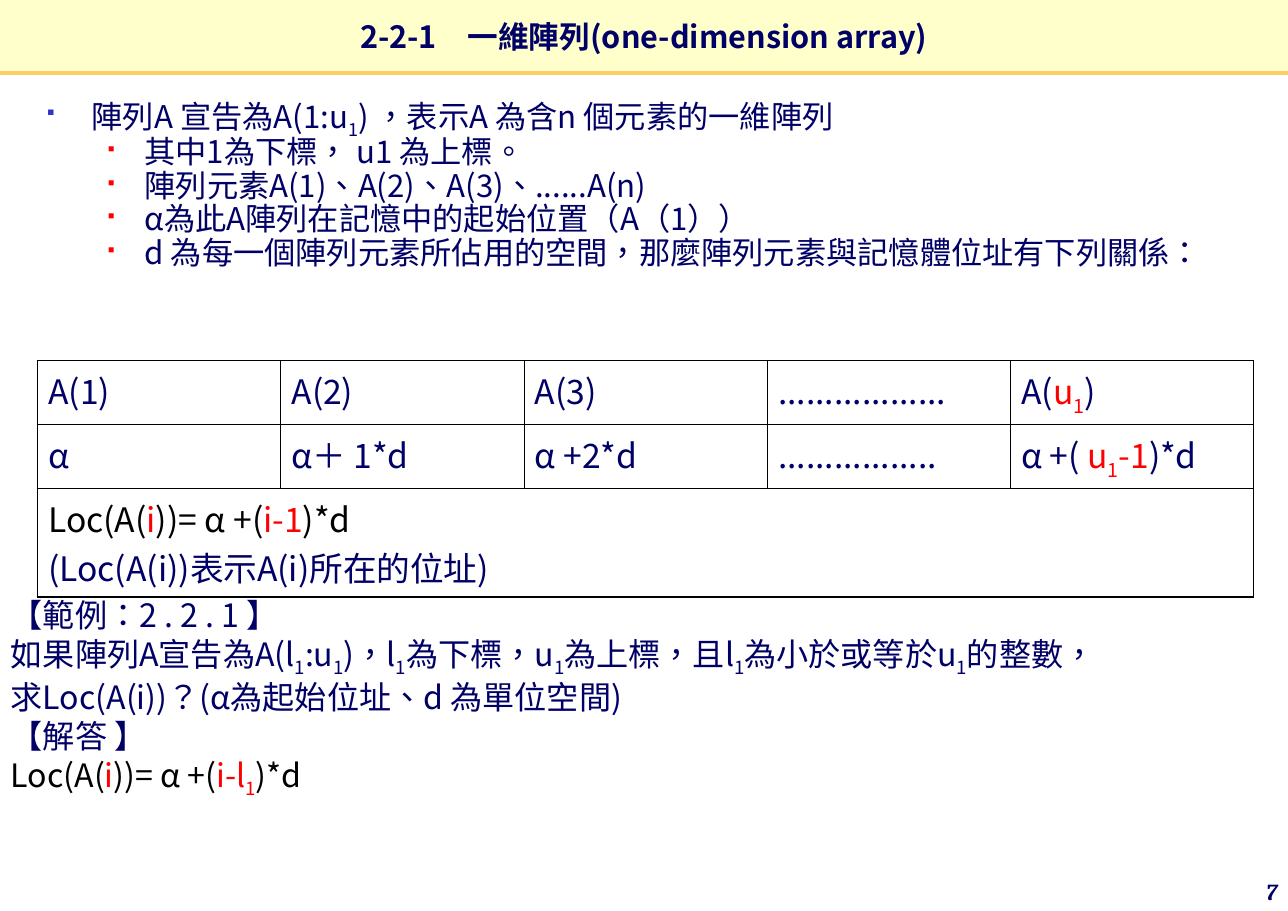
from lxml.etree import SubElement as Sub
from pptx import Presentation
from pptx.dml.color import RGBColor as RGB
from pptx.enum.shapes import MSO_CONNECTOR as Link
from pptx.enum.text import MSO_ANCHOR as Anchor, MSO_AUTO_SIZE as Fit, PP_ALIGN as Align
from pptx.oxml.ns import qn
from pptx.util import Cm, Pt

NAVY = RGB(0x00, 0x00, 0x66)
BLUE = RGB(0x33, 0x33, 0xCC)
RED = RGB(0xFF, 0x00, 0x00)
BLACK = RGB(0x00, 0x00, 0x00)
CREAM = RGB(0xFF, 0xFF, 0xCC)
GOLD = RGB(0xFF, 0xCC, 0x66)
SANS, SERIF = "Noto Sans CJK TC", "Cambria"
THICK, THIN = 1.08, 0.45

TITLE = "2-2-1　一維陣列(one-dimension array)"
# In the texts below ₁ marks a lowered 1; a part is plain text or (text, colour).
POINTS = [
    (0, "陣列A 宣告為A(1:u₁) ，表示A 為含n 個元素的一維陣列"),
    (1, "其中1為下標， u1 為上標。"),
    (1, "陣列元素A(1)、A(2)、A(3)、......A(n)"),
    (1, "α為此A陣列在記憶中的起始位置（A（1））"),
    (1, "d 為每一個陣列元素所佔用的空間，那麼陣列元素與記憶體位址有下列關係："),
]
# Per level: left margin, hanging width, bullet colour, bullet percent
LEVELS = [(1.04, 1.04, BLUE, 60), (2.26, 0.86, RED, 55)]


def formula(term):
    return [("Loc(A(", BLACK), ("i", RED), ("))= α +(", BLACK), (term, RED), (")*d", BLACK)]


CELLS = [
    [["A(1)"], ["A(2)"], ["A(3)"], [".................."], ["A(", ("u₁", RED), ")"]],
    [["α"], ["α＋ 1*d"], ["α +2*d"], ["................."],
     ["α +( ", ("u₁-1", RED), ")*d"]],
]
RESULT = [formula("i-1"), ["(Loc(A(i))表示A(i)所在的位址)"]]
EXAMPLE = [
    ["【範例：2 . 2 . 1 】"],
    ["如果陣列A宣告為A(l₁:u₁)，l₁為下標，u₁為上標，且l₁為小於或等於u₁的整數，"],
    ["求Loc(A(i))？(α為起始位址、d 為單位空間)"],
    ["【解答 】"],
    formula("i-l₁"),
]


def add_run(para, text, size, color=NAVY, face=SANS, bold=False, low=False):
    run = para.add_run()
    run.text = text
    font = run.font
    font.size, font.bold = Pt(size), bold
    font.color.rgb = color
    font.name = face
    props = run._r.get_or_add_rPr()
    props.set("lang", "zh-TW")
    Sub(props, qn("a:ea"), typeface=face)
    if low:
        props.set("baseline", "-25000")
    return run


def add_parts(para, parts, size):
    for part in parts:
        text, color = (part, NAVY) if isinstance(part, str) else part
        for i, piece in enumerate(text.split("₁")):
            if i:
                add_run(para, "1", size, color, low=True)
            if piece:
                add_run(para, piece, size, color)


def add_lines(frame, lines, size):
    for i, parts in enumerate(lines):
        para = frame.add_paragraph() if i else frame.paragraphs[0]
        add_parts(para, parts, size)


def place(shape, box):
    shape.left, shape.top, shape.width, shape.height = map(Cm, box)


def add_bullet(para, level):
    left, hang, color, size = LEVELS[level]
    para.level = level
    props = para._p.get_or_add_pPr()
    props.set("marL", str(Cm(left)))
    props.set("indent", str(-Cm(hang)))
    Sub(Sub(props, qn("a:buClr")), qn("a:srgbClr"), val=str(color))
    Sub(props, qn("a:buSzPct"), val=str(size * 1000))
    Sub(props, qn("a:buFont"), typeface="Wingdings", charset="2")
    Sub(props, qn("a:buChar"), char="§")


def draw_title(slide, box):
    left, top, width, height = box
    rule = slide.shapes.add_connector(
        Link.STRAIGHT, Cm(left), Cm(top + height + 0.03),
        Cm(left + width), Cm(top + height + 0.03))
    rule.line.color.rgb = GOLD
    rule.line.width = Pt(3)
    Sub(rule._element.spPr, qn("a:effectLst"))
    title = slide.shapes.title
    place(title, box)
    title.fill.solid()
    title.fill.fore_color.rgb = CREAM
    frame = title.text_frame
    frame.auto_size, frame.vertical_anchor = Fit.NONE, Anchor.MIDDLE
    frame.margin_left = frame.margin_right = frame.margin_top = frame.margin_bottom = 0
    para = frame.paragraphs[0]
    para.alignment = Align.CENTER
    add_run(para, TITLE, 20, bold=True)


def draw_points(slide, box):
    body = slide.placeholders[1]
    place(body, box)
    frame = body.text_frame
    frame.auto_size, frame.vertical_anchor = Fit.NONE, Anchor.TOP
    for i, (level, text) in enumerate(POINTS):
        para = frame.add_paragraph() if i else frame.paragraphs[0]
        add_bullet(para, level)
        para.line_spacing = 0.9
        para.space_before = Pt(0)
        add_parts(para, [text], 20.4)


def set_edges(cell, thick):
    """Draw the four borders; the sides named in thick are the outer ones."""
    props = cell._tc.get_or_add_tcPr()
    for side in "LRTB":
        width = THICK if side in thick else THIN
        edge = Sub(props, qn("a:ln" + side), w=str(Pt(width)))
        Sub(Sub(edge, qn("a:solidFill")), qn("a:srgbClr"), val=str(BLACK))


def draw_table(slide, box, heights):
    rows, cols = len(heights), len(CELLS[0])
    table = slide.shapes.add_table(rows, cols, *map(Cm, box)).table
    table.first_row = table.horz_banding = False
    for row, height in zip(table.rows, heights):
        row.height = Cm(height)
    for col in table.columns:
        col.width = Cm(box[2] / cols)
    for r in range(rows):
        for c in range(cols):
            cell = table.cell(r, c)
            ends = (("L", c == 0), ("R", c == cols - 1), ("T", r == 0), ("B", r == rows - 1))
            set_edges(cell, [side for side, outer in ends if outer])
            cell.fill.background()
            if r < len(CELLS):
                add_lines(cell.text_frame, [CELLS[r][c]], 22)
    last = table.cell(rows - 1, 0)
    last.merge(table.cell(rows - 1, cols - 1))
    add_lines(last.text_frame, RESULT, 22)


def draw_example(slide, box):
    frame = slide.shapes.add_textbox(*map(Cm, box)).text_frame
    frame.word_wrap = True
    add_lines(frame, EXAMPLE, 21)


def draw_number(slide, box):
    frame = slide.shapes.add_textbox(*map(Cm, box)).text_frame
    frame.word_wrap, frame.vertical_anchor = True, Anchor.BOTTOM
    para = frame.paragraphs[0]
    para.alignment = Align.RIGHT
    add_run(para, "7", 15, face=SERIF, bold=True).font.italic = True


def main():
    deck = Presentation()
    deck.slide_width, deck.slide_height = Cm(29.7), Cm(21)
    slide = deck.slides.add_slide(deck.slide_layouts[1])
    draw_title(slide, (0, 0, 29.7, 1.65))
    draw_points(slide, (0.82, 2.13, 28.27, 5.97))
    draw_table(slide, (0.86, 8.31, 28.05, 4.85), (1.37, 1.35, 2.13))
    draw_example(slide, (0, 13.6, 28.6, 4.95))
    draw_number(slide, (23.51, 20.2, 6.2, 0.8))
    deck.save("out.pptx")


if __name__ == "__main__":
    main()
